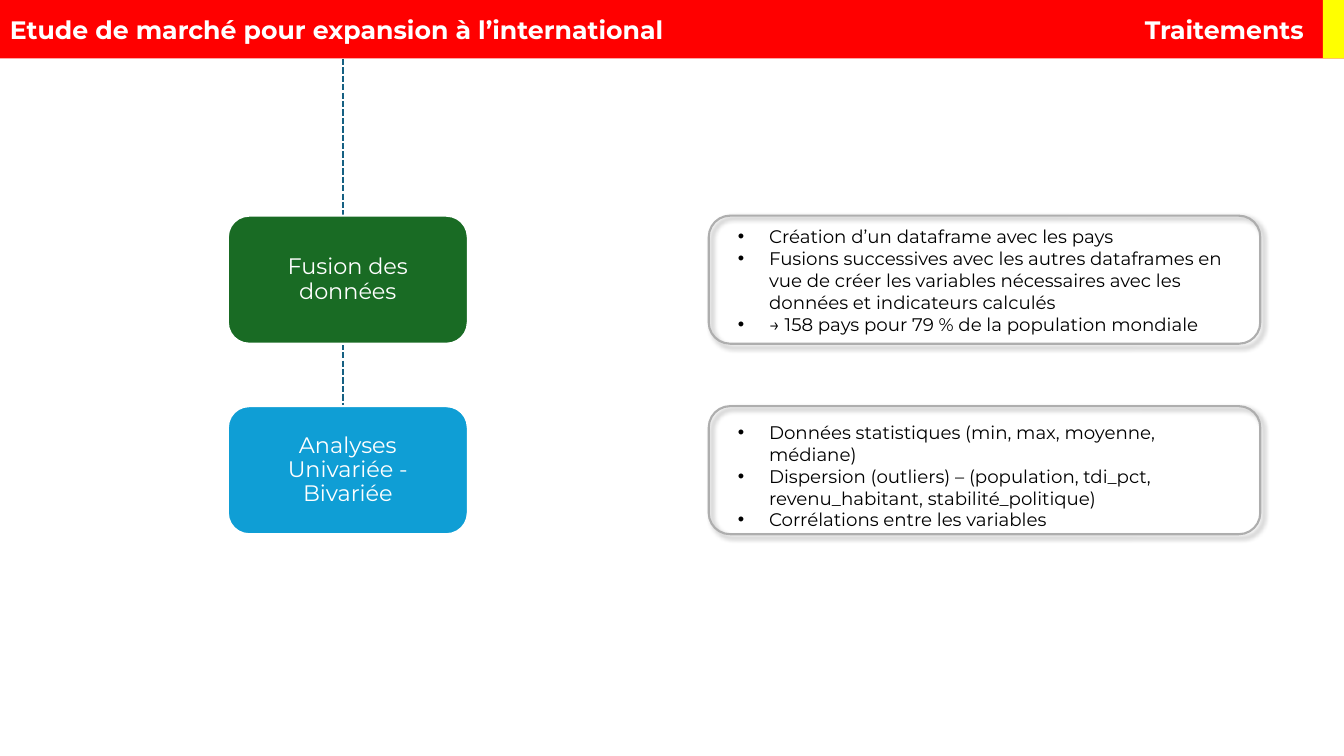
from lxml import etree
from pptx import Presentation
from pptx.dml.color import RGBColor
from pptx.enum.dml import MSO_LINE
from pptx.enum.shapes import MSO_CONNECTOR, MSO_SHAPE
from pptx.enum.text import MSO_ANCHOR, PP_ALIGN
from pptx.oxml import parse_xml
from pptx.oxml.ns import nsdecls, qn
from pptx.util import Inches, Pt

RECT, ROUND_RECT = MSO_SHAPE.RECTANGLE, MSO_SHAPE.ROUNDED_RECTANGLE
LEFT, CENTER, RIGHT = PP_ALIGN.LEFT, PP_ALIGN.CENTER, PP_ALIGN.RIGHT
MIDDLE = MSO_ANCHOR.MIDDLE

TITLE = "Etude de marché pour expansion à l’international"
SECTION = "Traitements"
# label, fill, text box offset from the panel top, details
STEPS = [
    ("Fusion des données", "196B24", 0.05, [
        "Création d’un dataframe avec les pays",
        "Fusions successives avec les autres dataframes en\v"
        "vue de créer les variables nécessaires avec les données et indicateurs calculés",
        "→ 158 pays pour 79 % de la population mondiale",
    ]),
    ("Analyses\vUnivariée - Bivariée", "0F9ED5", 0.1, [
        "Données statistiques (min, max, moyenne, médiane)",
        "Dispersion (outliers) – (population, tdi_pct, revenu_habitant, stabilité_politique)",
        "Corrélations entre les variables",
    ]),
]
THEME = {
    "font": "Montserrat", "title": 18, "step": 16, "detail": 13, "line": 1.5,
    "white": "FFFFFF", "black": "000000", "band": "FF0000", "accent": "FFFF00",
    "link": "156082", "panel": "AEAEAE",
}
SLIDE_W, SLIDE_H, BAND_H, ACCENT_W = 13.33, 7.5, 0.58, 0.21
STEP_X, STEP_W, STEP_H = 2.26, 2.38, 1.27
FIRST_Y, PITCH = 2.14, 1.89
PANEL_X, PANEL_W = 7.03, 5.47
DETAIL_X, DETAIL_W, DETAIL_H, INDENT = 7.22, 5.17, 1.19, 0.31
LINK_X = 3.4


def rgb(value):
    return RGBColor.from_string(value)


def add_box(slide, kind, x, y, w, h, fill=None, line=None):
    sp = slide.shapes.add_shape(kind, Inches(x), Inches(y), Inches(w), Inches(h))
    sp.shadow.inherit = False
    if fill:
        sp.fill.solid()
        sp.fill.fore_color.rgb = rgb(fill)
    else:
        sp.fill.background()
    if line:
        sp.line.color.rgb = rgb(line)
        sp.line.width = Pt(THEME["line"])
    else:
        sp.line.fill.background()
    return sp


def add_text_box(slide, x, y, w, h):
    return slide.shapes.add_textbox(Inches(x), Inches(y), Inches(w), Inches(h))


def write(sp, lines, size, color, align=LEFT, bold=False, bullets=False):
    tf = sp.text_frame
    tf.word_wrap = True
    for i, line in enumerate(lines):
        p = tf.add_paragraph() if i else tf.paragraphs[0]
        p.text = line
        p.alignment = align
        if bullets:
            pPr = p._p.get_or_add_pPr()
            pPr.set("marL", str(Inches(INDENT)))
            pPr.set("indent", str(-Inches(INDENT)))
            etree.SubElement(pPr, qn("a:buFont")).set("typeface", "Arial")
            etree.SubElement(pPr, qn("a:buChar")).set("char", "•")
        for r in p.runs:
            r.font.name = THEME["font"]
            r.font.size = Pt(size)
            r.font.bold = bold
            r.font.color.rgb = rgb(color)
    return tf


def add_link(slide, y1, y2):
    """Dashed vertical line between two heights."""
    cx = slide.shapes.add_connector(
        MSO_CONNECTOR.STRAIGHT, Inches(LINK_X), Inches(y1), Inches(LINK_X), Inches(y2))
    cx.line.color.rgb = rgb(THEME["link"])
    cx.line.width = Pt(THEME["line"])
    cx.line.dash_style = MSO_LINE.SQUARE_DOT
    etree.SubElement(cx._element.spPr, qn("a:effectLst"))


def add_shadow(sp):
    effects = sp._element.spPr.find(qn("a:effectLst"))
    effects.append(parse_xml(
        f'<a:outerShdw {nsdecls("a")} blurRad="{Pt(4)}" dist="{Pt(3)}" dir="2700000" '
        f'algn="tl" rotWithShape="0"><a:srgbClr val="{THEME["black"]}">'
        '<a:alpha val="40000"/></a:srgbClr></a:outerShdw>'))


def add_header(slide):
    band = add_box(slide, RECT, 0, 0, SLIDE_W, BAND_H, THEME["band"])
    tf = write(band, [TITLE], THEME["title"], THEME["white"], bold=True)
    tf.vertical_anchor = MIDDLE
    add_box(slide, RECT, SLIDE_W - ACCENT_W, 0, ACCENT_W, BAND_H, THEME["accent"])
    section = add_text_box(slide, 9.12, 0.09, 3.91, 0.4)
    write(section, [SECTION], THEME["title"], THEME["white"], RIGHT, bold=True)


def add_step(slide, y, label, fill, offset, details):
    box = add_box(slide, ROUND_RECT, STEP_X, y, STEP_W, STEP_H, fill, THEME["white"])
    tf = write(box, [label], THEME["step"], THEME["white"], CENTER)
    tf.vertical_anchor = MIDDLE
    tf.margin_left = tf.margin_right = tf.margin_top = tf.margin_bottom = Inches(0.14)
    tf.paragraphs[0].line_spacing = 0.9
    panel = add_box(slide, ROUND_RECT, PANEL_X, y, PANEL_W, STEP_H, line=THEME["panel"])
    add_shadow(panel)
    detail = add_text_box(slide, DETAIL_X, y + offset, DETAIL_W, DETAIL_H)
    write(detail, details, THEME["detail"], THEME["black"], bullets=True)


def main():
    prs = Presentation()
    prs.slide_width, prs.slide_height = Inches(SLIDE_W), Inches(SLIDE_H)
    slide = prs.slides.add_slide(prs.slide_layouts[6])
    link_start = 0
    for i in range(len(STEPS)):
        y = FIRST_Y + i * PITCH
        add_link(slide, link_start, y)
        link_start = y + STEP_H
    add_header(slide)
    for i, step in enumerate(STEPS):
        add_step(slide, FIRST_Y + i * PITCH, *step)
    prs.save("out.pptx")


if __name__ == "__main__":
    main()
